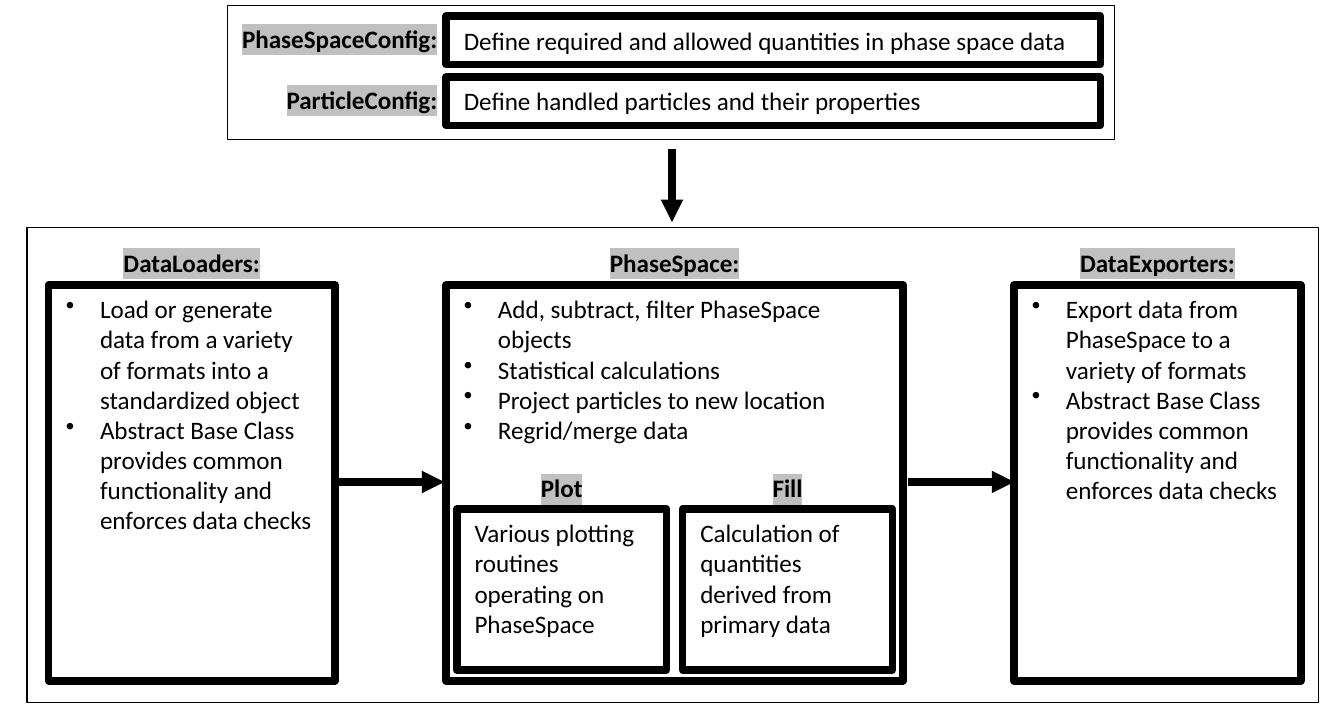
from dataclasses import dataclass

from lxml.etree import SubElement
from pptx import Presentation
from pptx.dml.color import RGBColor
from pptx.enum.shapes import MSO_CONNECTOR, MSO_SHAPE
from pptx.enum.text import MSO_ANCHOR, PP_ALIGN
from pptx.oxml.ns import qn
from pptx.util import Inches, Pt


@dataclass(frozen=True)
class Theme:
    """Colours, type and line widths of the diagram."""

    ink: str = "000000"
    highlight: str = "C0C0C0"
    font: str = "Calibri"
    size: float = 10.1
    heavy: float = 3
    thin: float = 0.5


THEME = Theme()
COLUMN_TOP, COLUMN_HEIGHT = 1.59, 2.21
PART_TOP, PART_WIDTH, PART_HEIGHT = 2.84, 1.17, 0.9
CONFIG_LEFT, CONFIG_WIDTH, ROW_HEIGHT = 2.49, 3.65, 0.27
CONFIG_TOP, CONFIG_STEP = 0.09, 0.34
LABEL_RIGHT, LABEL_WIDTH = 2.54, 1.34
ARROW_Y = 2.69

CHECKS = "Abstract Base Class provides common functionality and enforces data checks"
CONFIGS = [
    ("PhaseSpaceConfig:", "Define required and allowed quantities in phase space data"),
    ("ParticleConfig:", "Define handled particles and their properties"),
]
COLUMNS = [
    ("DataLoaders:", 0.27, 1.6, [
        "Load or generate data from a variety of formats into a standardized object",
        CHECKS,
    ]),
    ("PhaseSpace:", 2.49, 2.55, [
        "Add, subtract, filter PhaseSpace objects",
        "Statistical calculations",
        "Project particles to new location",
        "Regrid/merge data",
    ]),
    ("DataExporters:", 5.66, 1.6, [
        "Export data from PhaseSpace to a variety of formats",
        CHECKS,
    ]),
]
PARTS = [
    ("Plot", 2.55, "Various plotting routines operating on PhaseSpace"),
    ("Fill", 3.81, "Calculation of quantities derived from primary data"),
]


def style_paragraph(paragraph, align=PP_ALIGN.LEFT, bold=False):
    """Set the alignment and font of a paragraph."""
    paragraph.alignment = align
    font = paragraph.font
    font.name, font.size, font.bold = THEME.font, Pt(THEME.size), bold
    font.color.rgb = RGBColor.from_string(THEME.ink)


def add_bullet(paragraph):
    """Give a paragraph a hanging round bullet."""
    properties = paragraph._p.get_or_add_pPr()
    properties.set("marL", str(Inches(0.19)))
    properties.set("indent", str(-Inches(0.19)))
    bullet = properties.makeelement(qn("a:buChar"), {"char": "•"})
    properties.insert(0, bullet)


def add_box(page, left, top, width, height, line_width, texts=(), bulleted=False):
    """Add an unfilled outlined rectangle with optional text."""
    box = page.shapes.add_shape(
        MSO_SHAPE.RECTANGLE, Inches(left), Inches(top), Inches(width), Inches(height))
    box.shadow.inherit = False
    box.fill.background()
    box.line.color.rgb = RGBColor.from_string(THEME.ink)
    box.line.width = Pt(line_width)
    frame = box.text_frame
    frame.word_wrap = True
    frame.vertical_anchor = MSO_ANCHOR.TOP
    for index, text in enumerate(texts):
        paragraph = frame.add_paragraph() if index else frame.paragraphs[0]
        paragraph.add_run().text = text
        style_paragraph(paragraph)
        if bulleted:
            add_bullet(paragraph)


def add_label(page, text, left, top, width, align=PP_ALIGN.CENTER):
    """Add a bold highlighted heading."""
    box = page.shapes.add_textbox(
        Inches(left), Inches(top), Inches(width), Inches(ROW_HEIGHT))
    box.text_frame.word_wrap = True
    paragraph = box.text_frame.paragraphs[0]
    style_paragraph(paragraph, align, bold=True)
    span = paragraph.add_run()
    span.text = text
    highlight = SubElement(span._r.get_or_add_rPr(), qn("a:highlight"))
    SubElement(highlight, qn("a:srgbClr"), val=THEME.highlight)


def add_arrow(page, start, end):
    """Add a heavy straight arrow between two points."""
    arrow = page.shapes.add_connector(
        MSO_CONNECTOR.STRAIGHT, *(Inches(value) for value in (*start, *end)))
    arrow.line.color.rgb = RGBColor.from_string(THEME.ink)
    arrow.line.width = Pt(THEME.heavy)
    SubElement(arrow.line._get_or_add_ln(), qn("a:tailEnd"), type="triangle")
    SubElement(arrow._element.spPr, qn("a:effectLst"))


def main():
    """Build the architecture slide and save it."""
    deck = Presentation()
    deck.slide_width, deck.slide_height = Inches(7.5), Inches(3.94)
    page = deck.slides.add_slide(deck.slide_layouts[6])

    add_box(page, 1.27, 0.03, 4.95, 0.75, THEME.thin)
    add_box(page, 0.15, 1.27, 7.21, 2.65, THEME.thin)

    for row, (name, text) in enumerate(CONFIGS):
        top = CONFIG_TOP + row * CONFIG_STEP
        add_label(page, name, LABEL_RIGHT - LABEL_WIDTH, top - 0.01, LABEL_WIDTH,
                  PP_ALIGN.RIGHT)
        add_box(page, CONFIG_LEFT, top, CONFIG_WIDTH, ROW_HEIGHT, THEME.heavy, [text])

    for name, left, width, texts in COLUMNS:
        add_label(page, name, left, COLUMN_TOP - 0.26, width)
        add_box(page, left, COLUMN_TOP, width, COLUMN_HEIGHT, THEME.heavy, texts,
                bulleted=True)

    for name, left, text in PARTS:
        add_label(page, name, left, PART_TOP - 0.25, PART_WIDTH)
        add_box(page, left, PART_TOP, PART_WIDTH, PART_HEIGHT, THEME.heavy, [text])

    add_arrow(page, (3.75, 0.83), (3.75, 1.24))
    for left in (1.89, 5.07):
        add_arrow(page, (left, ARROW_Y), (left + 0.59, ARROW_Y))

    deck.save("out.pptx")


if __name__ == "__main__":
    main()
